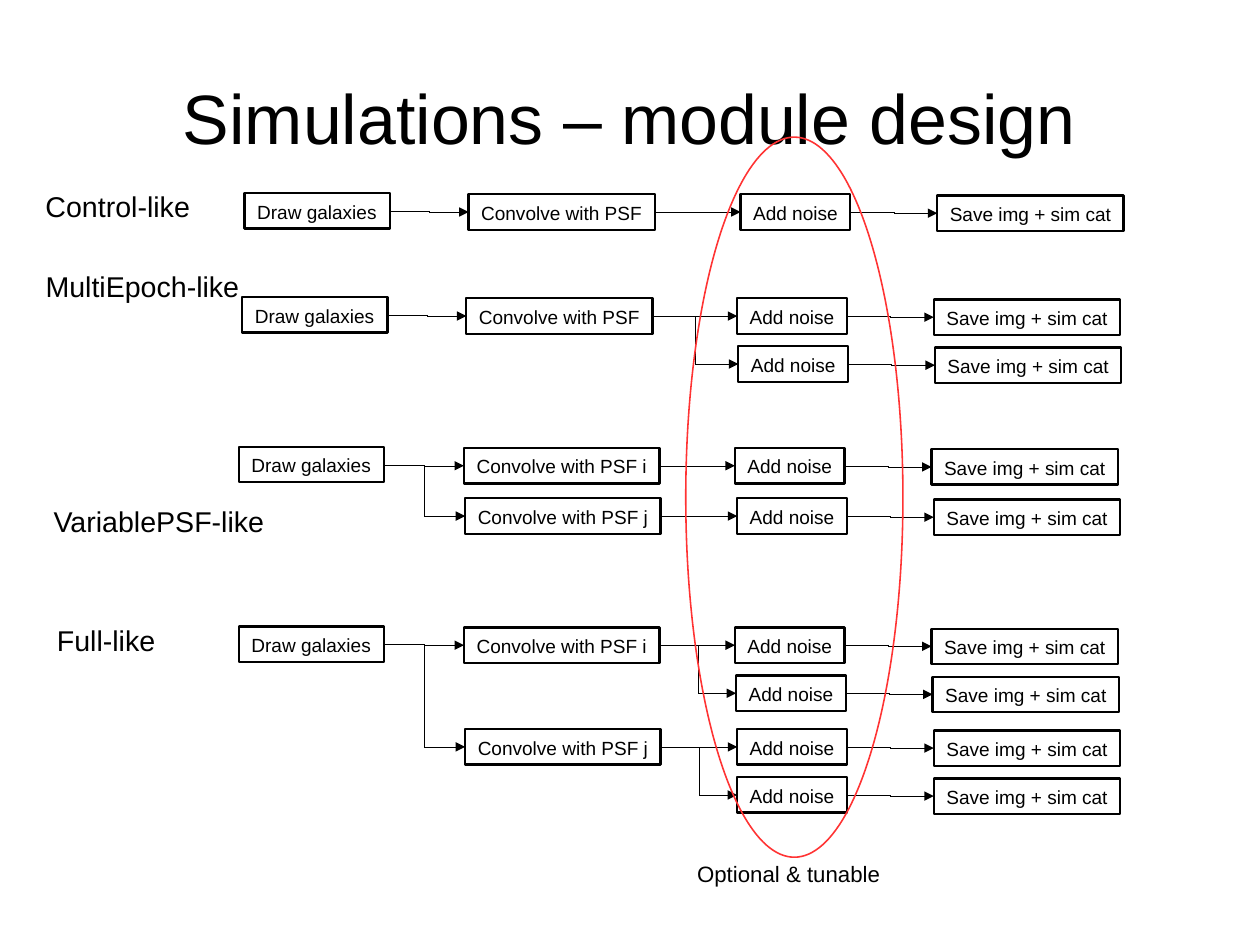
from lxml import etree
from pptx import Presentation
from pptx.dml.color import RGBColor
from pptx.enum.shapes import MSO_CONNECTOR, MSO_SHAPE
from pptx.enum.text import MSO_ANCHOR, MSO_AUTO_SIZE, PP_ALIGN
from pptx.oxml.ns import qn
from pptx.util import Inches, Pt

RECT, OVAL = MSO_SHAPE.RECTANGLE, MSO_SHAPE.OVAL
STRAIGHT, ELBOW = MSO_CONNECTOR.STRAIGHT, MSO_CONNECTOR.ELBOW
TOP, MIDDLE = MSO_ANCHOR.TOP, MSO_ANCHOR.MIDDLE
LEFT, CENTER = PP_ALIGN.LEFT, PP_ALIGN.CENTER
FIT, NO_FIT = MSO_AUTO_SIZE.SHAPE_TO_FIT_TEXT, MSO_AUTO_SIZE.NONE
LEFT_SIDE, RIGHT_SIDE = 1, 3

COLORS = {"ink": "000000", "highlight": "FF3333"}
FONT = "Arial"
CM_PER_INCH = 2.54
SLIDE_W, SLIDE_H = 28 / CM_PER_INCH, 21 / CM_PER_INCH
BOX_H = 0.31
DRAW_W, NOISE_W, SAVE_W = 1.27, 0.96, 1.63
SAVE_DX, SAVE_DY = 1.72, 0.01  # offset of each save step from its noise step

LABELS = [
    ("Control-like", 0.3, 1.6, 1.46),
    ("MultiEpoch-like", 0.3, 2.3, 1.89),
    ("VariablePSF-like", 0.37, 4.36, 2.04),
    ("Full-like", 0.4, 5.4, 1.06),
]

# Draw position, then its convolve steps: (text, x, y, width, noise positions)
PIPELINES = [
    ((2.14, 1.69), [("Convolve with PSF", 4.1, 1.7, 1.63, [(6.48, 1.7)])]),
    ((2.12, 2.6), [("Convolve with PSF", 4.08, 2.61, 1.63,
                    [(6.45, 2.61), (6.46, 3.03)])]),
    ((2.09, 3.91), [("Convolve with PSF i", 4.06, 3.92, 1.71, [(6.43, 3.92)]),
                    ("Convolve with PSF j", 4.07, 4.36, 1.71, [(6.45, 4.36)])]),
    ((2.09, 5.48), [("Convolve with PSF i", 4.06, 5.49, 1.71,
                     [(6.43, 5.49), (6.44, 5.91)]),
                    ("Convolve with PSF j", 4.07, 6.38, 1.71,
                     [(6.45, 6.38), (6.45, 6.8)])]),
]


def rgb(name):
    return RGBColor.from_string(COLORS[name])


def write(sp, text, size, left, right, inset_y, wrap=False, fit=FIT,
          anchor=TOP, align=LEFT):
    """Fill a shape with one line; a small right inset keeps it unbroken."""
    tf = sp.text_frame
    tf.text = text
    tf.word_wrap = wrap
    tf.auto_size = fit
    tf.vertical_anchor = anchor
    tf.margin_left, tf.margin_right = Inches(left), Inches(right)
    tf.margin_top = tf.margin_bottom = Inches(inset_y)
    p = tf.paragraphs[0]
    p.alignment = align
    font = p.runs[0].font
    font.name, font.size = FONT, Pt(size)
    font.color.rgb = rgb("ink")


def add_label(s, text, x, y, w, h=0.38, size=18):
    sp = s.shapes.add_textbox(Inches(x), Inches(y), Inches(w), Inches(h))
    write(sp, text, size, 0.1, 0.02, 0.05)


def add_title(s, text):
    sp = s.shapes.add_textbox(Inches(0.55), Inches(0.33), Inches(9.92), Inches(1.38))
    write(sp, text, 44, 0, 0, 0, wrap=True, fit=NO_FIT, anchor=MIDDLE, align=CENTER)


def add_outline(s, kind, x, y, w, h, color, width):
    sp = s.shapes.add_shape(kind, Inches(x), Inches(y), Inches(w), Inches(h))
    sp.shadow.inherit = False
    sp.fill.background()
    sp.line.color.rgb = rgb(color)
    sp.line.width = Pt(width)
    return sp


def add_step(s, text, x, y, w):
    sp = add_outline(s, RECT, x, y, w, BOX_H, "ink", 1.45)
    write(sp, text, 12, 0.11, 0.03, 0.06)
    return sp


def add_arrow(s, source, target):
    """Join two steps with a hairline arrow."""
    kind = STRAIGHT if source.top == target.top else ELBOW
    cx = s.shapes.add_connector(kind, 0, 0, 0, 0)
    cx.begin_connect(source, RIGHT_SIDE)
    cx.end_connect(target, LEFT_SIDE)
    cx.line.color.rgb = rgb("ink")
    ln = cx._element.spPr.find(qn("a:ln"))
    ln.set("w", "0")
    etree.SubElement(ln, qn("a:tailEnd"), type="triangle")
    etree.SubElement(cx._element.spPr, qn("a:effectLst"))


def add_pipeline(s, draw_at, convolutions):
    draw = add_step(s, "Draw galaxies", *draw_at, DRAW_W)
    for text, x, y, w, noise_spots in convolutions:
        convolve = add_step(s, text, x, y, w)
        add_arrow(s, draw, convolve)
        for nx, ny in noise_spots:
            noise = add_step(s, "Add noise", nx, ny, NOISE_W)
            save = add_step(s, "Save img + sim cat", nx + SAVE_DX, ny + SAVE_DY, SAVE_W)
            add_arrow(s, convolve, noise)
            add_arrow(s, noise, save)


def main():
    prs = Presentation()
    prs.slide_width, prs.slide_height = Inches(SLIDE_W), Inches(SLIDE_H)
    s = prs.slides.add_slide(prs.slide_layouts[6])
    for label in LABELS:
        add_label(s, *label)
    for pipeline in PIPELINES:
        add_pipeline(s, *pipeline)
    add_title(s, "Simulations – module design")
    add_outline(s, OVAL, 6, 1.2, 1.9, 6.3, "highlight", 1)
    add_label(s, "Optional & tunable", 6, 7.48, 1.8, h=0.32, size=14)
    prs.save("out.pptx")


if __name__ == "__main__":
    main()
